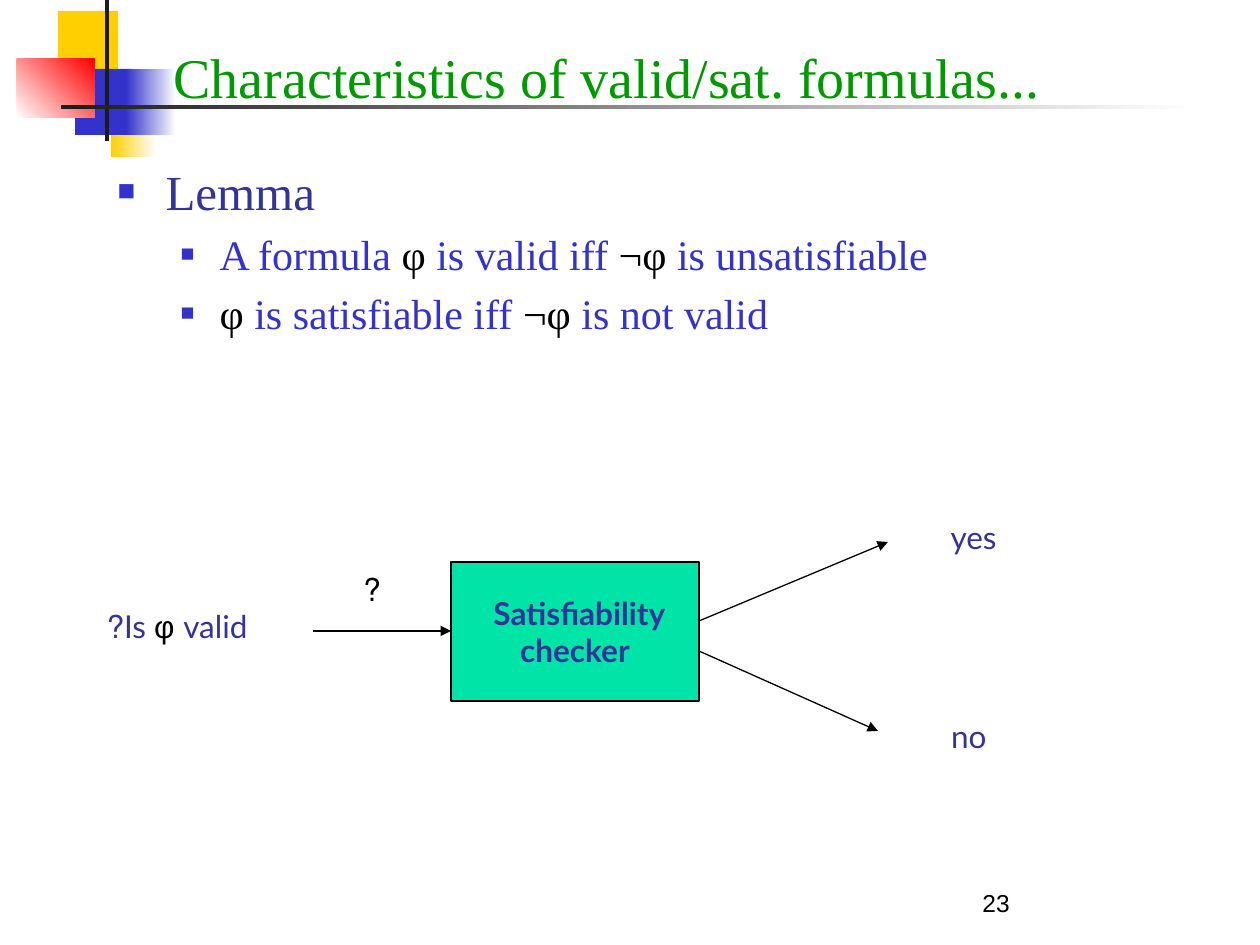
from pptx import Presentation
from pptx.dml.color import RGBColor
from pptx.enum.shapes import MSO_CONNECTOR, MSO_SHAPE
from pptx.enum.text import MSO_ANCHOR, MSO_AUTO_SIZE, PP_ALIGN
from pptx.oxml.ns import qn
from pptx.util import Pt
from lxml import etree

RECT, LINE = MSO_SHAPE.RECTANGLE, MSO_CONNECTOR.STRAIGHT
LEFT, RIGHT, MID = PP_ALIGN.LEFT, PP_ALIGN.RIGHT, PP_ALIGN.CENTER
SCALE = 914400 // 126
HUE = {
    "gold": "FFCF01", "blue": "3333CC", "red": "FF0000", "dark": "1C1C1C",
    "white": "FFFFFF", "black": "000000", "green": "009900",
    "navy": "333399", "mint": "00E4A8",
}
SERIF, SANS, LATO = "Times New Roman", "Arial", "Lato"


def rgb(name):
    return RGBColor.from_string(HUE[name])


def write(para, runs, size, bold=False):
    for text, font, hue in runs:
        run = para.add_run()
        run.text = text
        run.font.name = font
        run.font.size = Pt(size)
        run.font.bold = bold
        run.font.color.rgb = rgb(hue)


prs = Presentation()
prs.slide_width, prs.slide_height = 1260 * SCALE, 945 * SCALE
slide = prs.slides.add_slide(prs.slide_layouts[1])
shapes = slide.shapes
title, body = shapes.title, slide.placeholders[1]

# Corner ornament: place, first colour, last colour, angle
decor = [
    ((58, 11, 60, 66), "gold", None, 0),
    ((111, 92, 45, 65), "gold", "white", 0),
    ((75, 69, 58, 66), "blue", None, 0),
    ((126, 69, 50, 66), "blue", "white", 0),
    ((17, 59, 78, 59), "white", "red", 45),
    ((105, -4, 4, 145), "dark", None, 0),
    ((61, 105, 1134, 4), "dark", "white", 0),
]
for place, first, last, angle in decor:
    block = shapes.add_shape(RECT, *[n * SCALE for n in place])
    block.shadow.inherit = False
    block.line.fill.background()
    if last:
        block.fill.gradient()
        block.fill.gradient_angle = angle
        for stop, hue in zip(block.fill.gradient_stops, (first, last)):
            stop.color.rgb = rgb(hue)
    else:
        block.fill.solid()
        block.fill.fore_color.rgb = rgb(first)

# Title and list, in front of the ornament
for holder, place in ((title, (161, 0, 1074, 116)), (body, (105, 155, 1130, 684))):
    shapes._spTree.append(holder._element)
    holder.left, holder.top, holder.width, holder.height = [n * SCALE for n in place]
    holder.text_frame.auto_size = MSO_AUTO_SIZE.NONE
title.text_frame.vertical_anchor = MSO_ANCHOR.BOTTOM
head = title.text_frame.paragraphs[0]
head.alignment = LEFT
write(head, [("Characteristics of valid/sat. formulas... ", SERIF, "green")], 32)

items = [
    (0, [("Lemma", "navy")]),
    (1, [("A formula ", "blue"), ("φ", "black"), (" is valid iff ", "blue"),
         ("¬φ", "black"), (" is unsatisfiable", "blue")]),
    (1, [("φ", "black"), (" is satisfiable iff ", "blue"),
         ("¬φ", "black"), (" is not valid", "blue")]),
]
# Size, left margin, hanging indent and bullet percent by level
levels = [(28, 48, 48, 60), (24, 102, 39, 55)]
frame = body.text_frame
for i, (level, parts) in enumerate(items):
    para = frame.paragraphs[0] if i == 0 else frame.add_paragraph()
    para.level = level
    size, left, hang, pct = levels[level]
    props = para._p.get_or_add_pPr()
    props.set("marL", str(left * SCALE))
    props.set("indent", str(-hang * SCALE))
    tint = etree.SubElement(props, qn("a:buClr"))
    etree.SubElement(tint, qn("a:srgbClr"), val=HUE["blue"])
    etree.SubElement(props, qn("a:buSzPct"), val=str(pct * 1000))
    etree.SubElement(props, qn("a:buFont"), typeface=SANS)
    etree.SubElement(props, qn("a:buChar"), char="■")
    write(para, [(text, SERIF, hue) for text, hue in parts], size)

# Checker box
box = shapes.add_shape(RECT, *[n * SCALE for n in (451, 562, 248, 139)])
box.shadow.inherit = False
box.fill.solid()
box.fill.fore_color.rgb = rgb("mint")
box.line.color.rgb = rgb("black")
box.line.width = Pt(0.75)
frame = box.text_frame
frame.word_wrap = False
frame.vertical_anchor = MSO_ANCHOR.MIDDLE
for i, text in enumerate(("Satisfiability ", "checker")):
    para = frame.paragraphs[0] if i == 0 else frame.add_paragraph()
    para.alignment = MID
    para._p.get_or_add_pPr().set("rtl", "1")
    write(para, [(text, LATO, "navy")], 18, True)

# Arrows
for ends in ((313, 631, 451, 631), (699, 621, 888, 542), (699, 651, 878, 731)):
    arrow = shapes.add_connector(LINE, *[n * SCALE for n in ends])
    arrow.line.color.rgb = rgb("black")
    arrow.line.width = Pt(0.75)
    etree.SubElement(arrow.line._get_or_add_ln(), qn("a:tailEnd"), type="triangle")
    etree.SubElement(arrow._element.spPr, qn("a:effectLst"))

# Labels, set right to left
labels = [
    ((84, 601, 176, 50), [("Is ", LATO, "navy"), ("φ ", SANS, "black"),
                          ("valid? ", LATO, "navy")]),
    ((927, 512, 82, 50), [("yes ", LATO, "navy")]),
    ((930, 711, 69, 50), [("no ", LATO, "navy")]),
    ((353, 564, 40, 50), [("?", LATO, "black")]),
]
for place, runs in labels:
    label = shapes.add_textbox(*[n * SCALE for n in place])
    label.text_frame.word_wrap = False
    label.text_frame.auto_size = MSO_AUTO_SIZE.SHAPE_TO_FIT_TEXT
    para = label.text_frame.paragraphs[0]
    para.alignment = RIGHT
    para._p.get_or_add_pPr().set("rtl", "1")
    write(para, runs, 18)

# Page number
page = shapes.add_textbox(*[n * SCALE for n in (970, 861, 262, 63)])
page.text_frame.word_wrap = True
page.text_frame.vertical_anchor = MSO_ANCHOR.BOTTOM
write(page.text_frame.paragraphs[0], [("23", SANS, "black")], 14)

prs.save("out.pptx")
